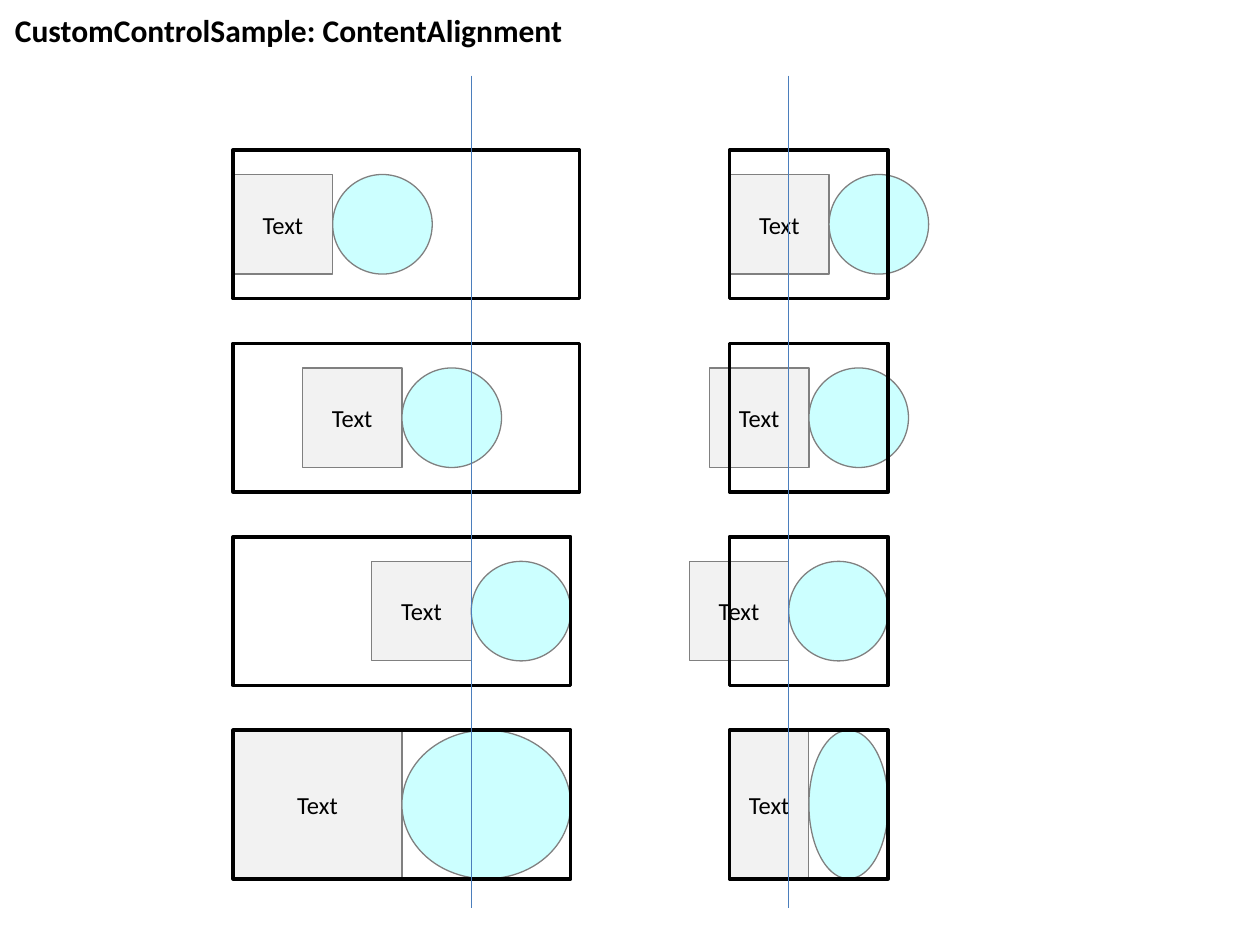
from dataclasses import dataclass
from lxml import etree
from pptx import Presentation
from pptx.dml.color import RGBColor
from pptx.enum.shapes import MSO_CONNECTOR, MSO_SHAPE
from pptx.enum.text import MSO_ANCHOR, MSO_AUTO_SIZE, PP_ALIGN
from pptx.oxml.ns import qn
from pptx.util import Inches, Pt

RECT, OVAL = MSO_SHAPE.RECTANGLE, MSO_SHAPE.OVAL
STRAIGHT = MSO_CONNECTOR.STRAIGHT
MIDDLE, CENTER = MSO_ANCHOR.MIDDLE, PP_ALIGN.CENTER
FIT_SHAPE = MSO_AUTO_SIZE.SHAPE_TO_FIT_TEXT


@dataclass(frozen=True)
class Theme:
    """Colours, type sizes and line widths."""
    font: str = "Calibri"
    ink: str = "000000"
    label_fill: str = "F2F2F2"
    icon_fill: str = "CCFFFF"
    edge: str = "808080"
    guide: str = "4B7EBC"
    title_size: float = 18
    label_size: float = 14
    thin: float = 0.75
    thick: float = 2


T = Theme()
ROW_TOP, ROW_PITCH, ROW_HEIGHT = 1.19, 1.535, 1.18
ITEM = 0.79
ALIGNMENTS = (0, 0.5, 1, None)
GUIDE_TOP, GUIDE_BOTTOM = 0.6, 7.21


def rgb(value):
    """Return a colour from its hex value."""
    return RGBColor.from_string(value)


def style_text(tf, size, bold=False):
    """Format every run of a text frame."""
    for p in tf.paragraphs:
        for r in p.runs:
            r.font.name, r.font.size, r.font.bold = T.font, Pt(size), bold
            r.font.color.rgb = rgb(T.ink)


def add_box(shapes, kind, box, fill, line, width, text=""):
    """Add one outlined shape, with centred text if given."""
    sp = shapes.add_shape(kind, *map(Inches, box))
    sp.shadow.inherit = False
    if fill:
        sp.fill.solid()
        sp.fill.fore_color.rgb = rgb(fill)
    else:
        sp.fill.background()
    sp.line.color.rgb = rgb(line)
    sp.line.width = Pt(width)
    if text:
        tf = sp.text_frame
        tf.text = text
        tf.vertical_anchor = MIDDLE
        tf.paragraphs[0].alignment = CENTER
        style_text(tf, T.label_size)


def add_content(shapes, x, y, w, h):
    """Add the label and the icon side by side, each w by h."""
    add_box(shapes, RECT, (x, y, w, h), T.label_fill, T.edge, T.thin, "Text")
    add_box(shapes, OVAL, (x + w, y, w, h), T.icon_fill, T.edge, T.thin)


def add_control(s, x, y, w, h, align, extra):
    """Add a control frame with aligned content, or stretched if align is None."""
    if align is None:
        add_content(s.shapes, x, y, w / 2, h)
    else:
        group = s.shapes.add_group_shape()
        left = x + align * (w - 2 * ITEM)
        add_content(group.shapes, left, y + (h - ITEM) / 2, ITEM, ITEM)
    add_box(s.shapes, RECT, (x, y, w + extra, h), None, T.ink, T.thick)


def add_column(s, x, w, extras):
    """Add one control for each alignment, stacked at an equal pitch."""
    for row, (align, extra) in enumerate(zip(ALIGNMENTS, extras)):
        add_control(s, x, ROW_TOP + row * ROW_PITCH, w, ROW_HEIGHT, align, extra)


def add_guide(s, x):
    """Add a vertical guide line."""
    line = s.shapes.add_connector(
        STRAIGHT, *map(Inches, (x, GUIDE_TOP, x, GUIDE_BOTTOM)))
    line.line.color.rgb = rgb(T.guide)
    line.line.width = Pt(T.thin)
    etree.SubElement(line.element.spPr, qn("a:effectLst"))


def add_title(s, text, box):
    """Add the slide heading."""
    tf = s.shapes.add_textbox(*map(Inches, box)).text_frame
    tf.text = text
    tf.word_wrap = False
    tf.auto_size = FIT_SHAPE
    style_text(tf, T.title_size, True)


def main():
    """Build and save the slide."""
    prs = Presentation()
    prs.slide_width, prs.slide_height = Inches(10), Inches(7.5)
    s = prs.slides.add_slide(prs.slide_layouts[6])
    add_title(s, "CustomControlSample: ContentAlignment", (0.02, 0.04, 4.58, 0.4))
    columns = ((1.85, 2.68, (0.07, 0.07, 0, 0)), (5.79, 1.26, (0, 0, 0, 0)))
    for x, w, extras in columns:
        add_column(s, x, w, extras)
    for x, w, _ in columns:
        add_guide(s, x + w - ITEM)
    prs.save("out.pptx")


main()
